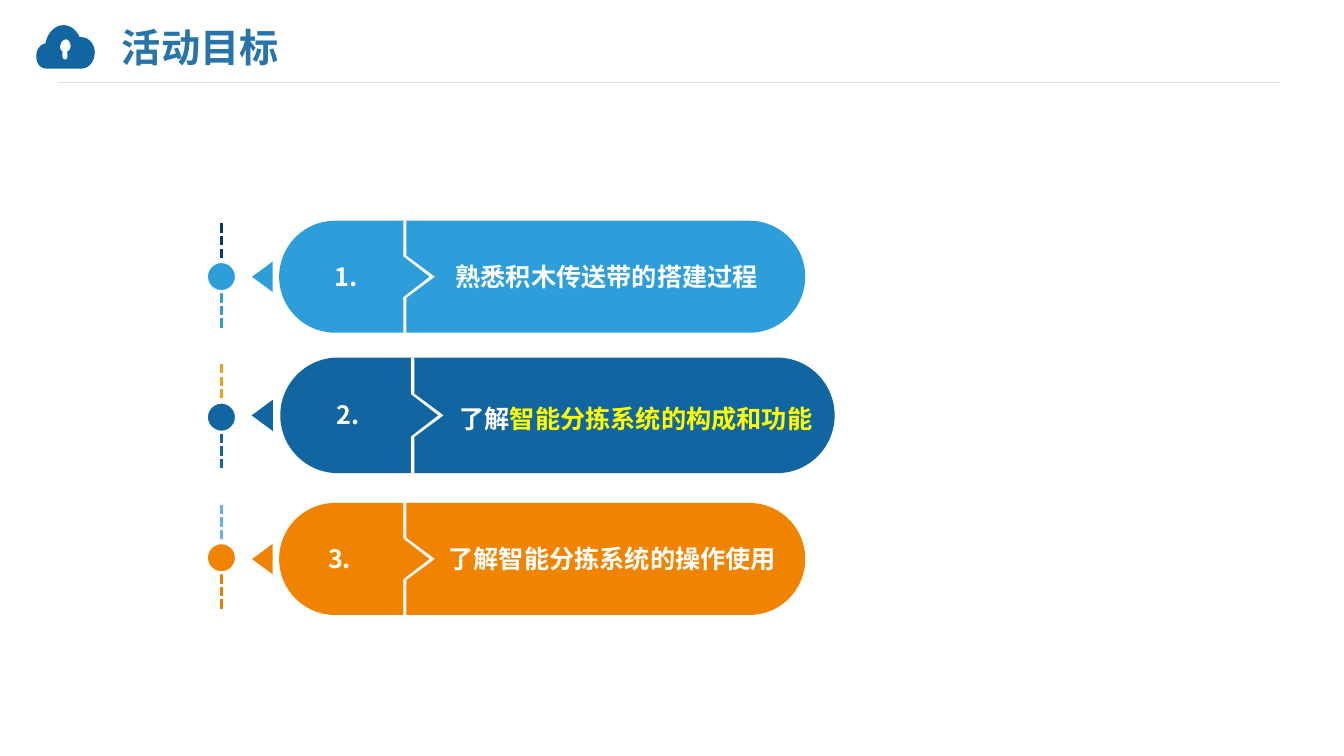
from pptx import Presentation
from pptx.dml.color import RGBColor
from pptx.enum.dml import MSO_LINE
from pptx.enum.shapes import MSO_CONNECTOR, MSO_SHAPE
from pptx.enum.text import MSO_ANCHOR, PP_ALIGN
from pptx.oxml.ns import qn
from pptx.util import Pt
from lxml import etree

PILL, TRIANGLE, DOT = MSO_SHAPE.ROUNDED_RECTANGLE, MSO_SHAPE.ISOSCELES_TRIANGLE, MSO_SHAPE.OVAL
STRAIGHT, DASH = MSO_CONNECTOR.STRAIGHT, MSO_LINE.SQUARE_DOT
TOP, MIDDLE = MSO_ANCHOR.TOP, MSO_ANCHOR.MIDDLE
LEFT, CENTER = PP_ALIGN.LEFT, PP_ALIGN.CENTER
FONT = "Noto Sans CJK SC"
WHITE, YELLOW, NAVY = "FFFFFF", "FFFF00", "1165A0"

# Content: pill is (left, top, width, height), the other boxes likewise
title = "活动目标"
goals = [
    dict(number="1.", label=[("熟悉积木传送带的搭建过程", WHITE)], color="2E9EDA",
         dashes=("053675", "2E9EDA"), pill=(199.4, 157.7, 375.8, 80),
         number_box=(216.7, 182.9, 60.5, 24.5), label_box=(291.6, 185, 260, 24.5)),
    dict(number="2.", label=[("了解", WHITE), ("智能分拣系统的构成和功能", YELLOW)], color=NAVY,
         dashes=("EBA417", NAVY), pill=(200.2, 255.4, 396, 82.6),
         number_box=(218.9, 281.5, 59.8, 25.2), label_box=(294.5, 262.8, 300, 72)),
    dict(number="3.", label=[("了解智能分拣系统的操作使用", WHITE)], color="F08300",
         dashes=("66B3E1", "EB8000"), pill=(199.4, 359.3, 375.8, 80),
         number_box=(215.3, 384.5, 54.7, 24.5), label_box=(286.6, 357.1, 280, 82.8)),
]

# Each contour is a start point, then lines (x, y) or curves with two control points
cloud = [
    [(58.3, 26.6), (57.6, 26.6, 57.6, 26.6, 56.9, 26.6), (54.7, 21.6, 50.4, 18, 45.4, 18),
     (38.9, 18, 33.8, 23.8, 32.4, 31), (28.8, 31.7, 25.9, 35.3, 25.9, 40.3),
     (25.9, 45.4, 28.8, 49, 33.1, 49), (58.3, 49),
     (63.4, 49, 67.7, 43.9, 67.7, 37.4), (67.7, 31.7, 63.4, 26.6, 58.3, 26.6)],
    [(48.2, 36.7), (48.2, 40.3), (48.2, 41.8, 47.5, 42.5, 46.8, 42.5),
     (45.4, 42.5, 44.6, 41.8, 44.6, 40.3), (44.6, 36.7),
     (43.2, 36, 42.5, 34.6, 43.2, 32.4), (43.2, 30.2, 44.6, 28.8, 46.8, 28.1),
     (49, 28.1, 50.4, 30.2, 50.4, 33.1), (50.4, 34.6, 49.7, 36, 48.2, 36.7)],
]

# Timeline left of the pills
AXIS_X, FIRST_DOT_Y, DOT_PITCH, DOT_SIZE = 158.2, 197.6, 100.4, 21.6
DASH_NEAR, DASH_FAR = 11.8, 38
POINTER_X = 187.4

prs = Presentation()
prs.slide_width, prs.slide_height = Pt(960), Pt(540)
slide = prs.slides.add_slide(prs.slide_layouts[6])
shapes = slide.shapes


def rgb(color):
    return RGBColor.from_string(color)


def paint(shape, color):
    shape.shadow.inherit = False
    shape.fill.solid()
    shape.fill.fore_color.rgb = rgb(color)
    shape.line.fill.background()
    return shape


def add_preset(kind, box, color):
    return paint(shapes.add_shape(kind, *map(Pt, box)), color)


def add_line(start, end, color, width, dash=None):
    line = shapes.add_connector(STRAIGHT, *map(Pt, start + end))
    line.line.color.rgb = rgb(color)
    line.line.width = Pt(width)
    if dash:
        line.line.dash_style = dash
    etree.SubElement(line._element.spPr, qn("a:effectLst"))


def add_outline(contours, color):
    """Contours are in points; local units are hundredths of a point."""
    scaled = [[(x * 100, y * 100) for x, y in contour] for contour in contours]
    builder = shapes.build_freeform(*scaled[0][0], scale=Pt(1) / 100)
    builder.add_line_segments(scaled[0][1:], close=True)
    for contour in scaled[1:]:
        builder.move_to(*contour[0])
        builder.add_line_segments(contour[1:], close=True)
    paint(builder.convert_to_shape(), color)


def flatten(contour, steps=10):
    points = [contour[0]]
    for segment in contour[1:]:
        if len(segment) == 2:
            points.append(segment)
            continue
        x0, y0 = points[-1]
        x1, y1, x2, y2, x3, y3 = segment
        for step in range(1, steps + 1):
            t = step / steps
            a, b, c, d = (1 - t) ** 3, 3 * t * (1 - t) ** 2, 3 * t * t * (1 - t), t ** 3
            points.append((a * x0 + b * x1 + c * x2 + d * x3,
                           a * y0 + b * y1 + c * y2 + d * y3))
    return points


def add_text(runs, box, size=18, align=LEFT, anchor=MIDDLE, insets=(0, 0, 0, 0), wrap=False):
    frame = shapes.add_textbox(*map(Pt, box)).text_frame
    frame.word_wrap = wrap
    frame.vertical_anchor = anchor
    (frame.margin_left, frame.margin_top,
     frame.margin_right, frame.margin_bottom) = map(Pt, insets)
    paragraph = frame.paragraphs[0]
    paragraph.alignment = align
    for text, color in runs:
        run = paragraph.add_run()
        run.text = text
        run.font.size, run.font.bold, run.font.name = Pt(size), True, FONT
        run.font.color.rgb = rgb(color)
        etree.SubElement(run._r.rPr, qn("a:ea")).set("typeface", FONT)


# Header
add_line((915.1, 59), (41.8, 59), "E0E0E0", 0.75)
add_outline([flatten(contour) for contour in cloud], NAVY)
add_text([(title, "2874A9")], (87.1, 14.4, 640, 37.4), size=28, wrap=True)

for index, goal in enumerate(goals):
    color = goal["color"]
    left, top, width, height = goal["pill"]
    scale, middle, bottom = height / 80, top + height / 2, top + height

    # Pill with its white notch and pointer
    add_preset(PILL, goal["pill"], color).adjustments[0] = 0.5
    notch, edge = left + 0.236 * width, 2.2 * scale
    tip, shoulder = 18.9 * scale, 14.6 * scale
    add_outline([[
        (notch, top), (notch, middle - shoulder), (notch + tip, middle),
        (notch, middle + shoulder), (notch, bottom), (notch + edge, bottom),
        (notch + edge, middle + shoulder + 0.4), (notch + tip + 1.6 * edge, middle),
        (notch + edge, middle - shoulder - 0.4), (notch + edge, top)]], WHITE)
    base, depth = 21.8 * scale, 14.7 * scale
    pointer = (POINTER_X - base / 2, middle - depth / 2, base, depth)
    add_preset(TRIANGLE, pointer, color).rotation = 270

    # Number and label
    add_text([(goal["number"], WHITE)], goal["number_box"], align=CENTER, anchor=TOP,
             insets=(7.2, 3.6, 7.2, 3.6))
    add_text(goal["label"], goal["label_box"], insets=(33.8, 0, 0, 0))

    # Timeline dot between two dashed lines
    dot_y = FIRST_DOT_Y + index * DOT_PITCH
    for side, dash_color in zip((-1, 1), goal["dashes"]):
        near, far = dot_y + side * DASH_NEAR, dot_y + side * DASH_FAR
        add_line((AXIS_X, min(near, far)), (AXIS_X, max(near, far)), dash_color, 2.25, DASH)
    dot = add_preset(DOT, (AXIS_X - DOT_SIZE / 2, dot_y - DOT_SIZE / 2, DOT_SIZE, DOT_SIZE), color)
    dot.line.color.rgb = rgb(WHITE)
    dot.line.width = Pt(2.25)

prs.save("out.pptx")
